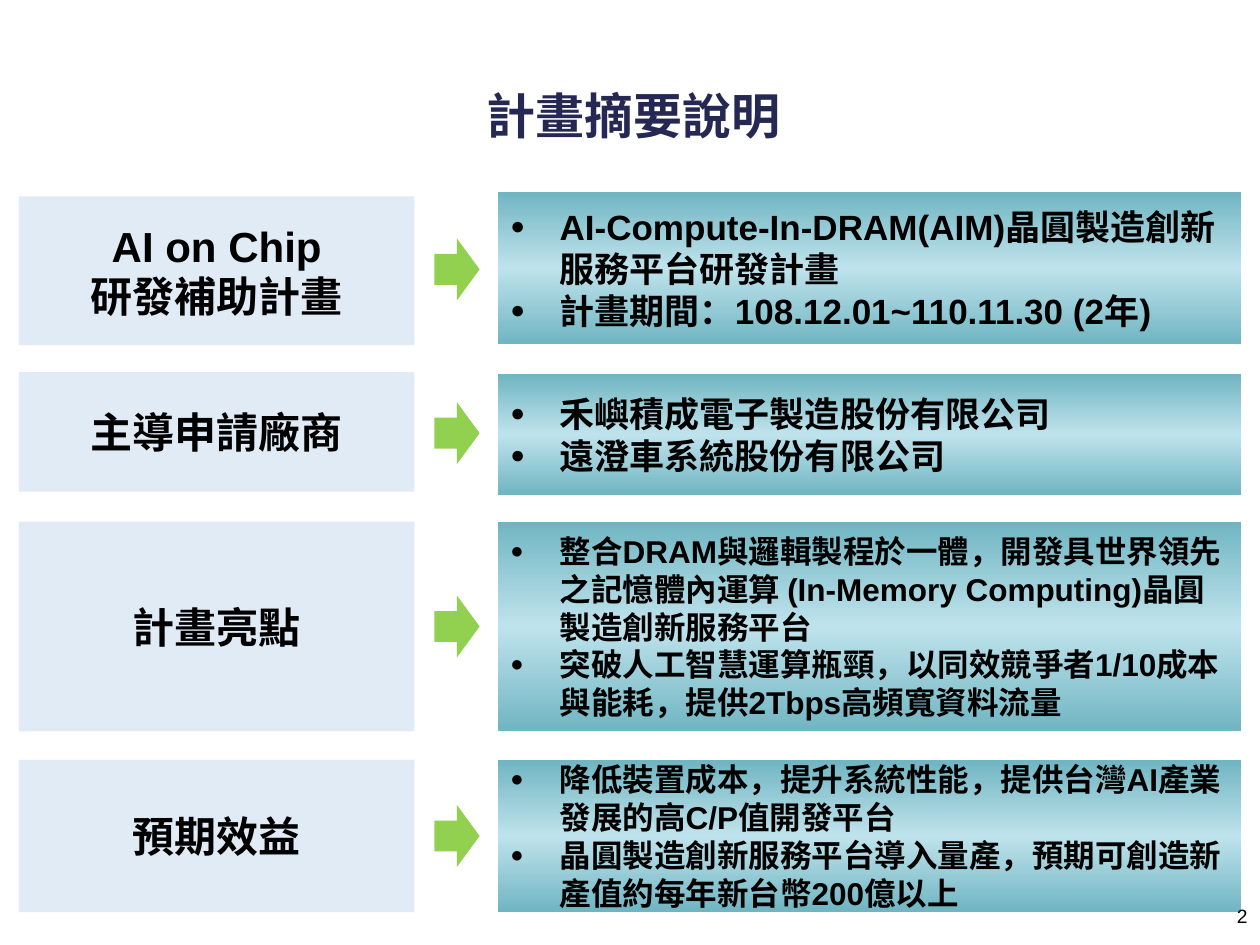
from copy import deepcopy
from dataclasses import dataclass

from lxml.etree import SubElement
from pptx import Presentation
from pptx.dml.color import RGBColor
from pptx.enum.shapes import MSO_SHAPE as Shape
from pptx.enum.text import MSO_ANCHOR as Anchor, PP_ALIGN as Align
from pptx.oxml.ns import qn
from pptx.util import Pt


@dataclass(frozen=True)
class Theme:
    font: str = "Arial"
    title_ink: str = "242852"
    ink: str = "000000"
    label_fill: str = "E0EBF6"
    arrow_fill: str = "92D050"
    detail_stops: tuple = ((0, "70B5C2"), (0.5, "BFE3EC"), (1, "70B5C2"))
    title_size: int = 28
    label_size: int = 24
    detail_size: int = 20
    small_detail_size: int = 18
    number_size: int = 11
    bullet: str = "●"
    bullet_percent: int = 70
    bullet_indent: float = 28.1


LABEL_LEFT, LABEL_WIDTH = 10.8, 226.1
ARROW_LEFT, ARROW_WIDTH, ARROW_HEIGHT = 248.2, 25.9, 35.3
DETAIL_LEFT, DETAIL_RIGHT = 284.6, 709.2

THEME = Theme()

# label lines, label (top, height), detail (top, height), detail size, details
ROWS = [
    (["AI on Chip", "研發補助計畫"], (112.2, 85), (109.6, 87.2), THEME.detail_size,
     ["AI-Compute-In-DRAM(AIM)晶圓製造創新服務平台研發計畫",
      "計畫期間：108.12.01~110.11.30 (2年)"]),
    (["主導申請廠商"], (212.6, 68.4), (213.8, 69), THEME.detail_size,
     ["禾嶼積成電子製造股份有限公司",
      "遠澄車系統股份有限公司"]),
    (["計畫亮點"], (298, 120), (298, 120), THEME.small_detail_size,
     ["整合DRAM與邏輯製程於一體，開發具世界領先之記憶體內運算 (In-Memory Computing)晶圓製造創新服務平台",
      "突破人工智慧運算瓶頸，以同效競爭者1/10成本與能耗，提供2Tbps高頻寬資料流量"]),
    (["預期效益"], (434.2, 87), (434.2, 87), THEME.small_detail_size,
     ["降低裝置成本，提升系統性能，提供台灣AI產業發展的高C/P值開發平台",
      "晶圓製造創新服務平台導入量產，預期可創造新產值約每年新台幣200億以上"]),
]


def add_bullet(paragraph, theme):
    props = paragraph._p.get_or_add_pPr()
    indent = Pt(theme.bullet_indent)
    props.set("marL", str(indent))
    props.set("indent", str(-indent))
    SubElement(props, qn("a:buSzPct"), val=str(theme.bullet_percent * 1000))
    SubElement(props, qn("a:buFont"), typeface=theme.font)
    SubElement(props, qn("a:buChar"), char=theme.bullet)


def write_text(frame, lines, *, theme, size, color=THEME.ink, bold=True,
               align=Align.LEFT, anchor=Anchor.TOP, margin=None, bulleted=False):
    frame.word_wrap = True
    frame.vertical_anchor = anchor
    if margin is not None:
        frame.margin_left = frame.margin_right = Pt(margin)
        frame.margin_top = frame.margin_bottom = Pt(margin)
    for index, line in enumerate(lines):
        paragraph = frame.add_paragraph() if index else frame.paragraphs[0]
        paragraph.alignment = align
        if bulleted:
            add_bullet(paragraph, theme)
        run = paragraph.add_run()
        run.text = line
        run.font.name = theme.font
        run.font.size = Pt(size)
        run.font.bold = bold
        run.font.color.rgb = RGBColor.from_string(color)


def fill_gradient(shape, stops):
    """Fill with a vertical gradient of three (position, colour) stops."""
    shape.fill.gradient()
    shape.fill.gradient_angle = 90
    first = shape.element.spPr.find(".//" + qn("a:gs"))
    first.addnext(deepcopy(first))
    for stop, (position, color) in zip(shape.fill.gradient_stops, stops):
        stop.position = position
        stop.color.rgb = RGBColor.from_string(color)


class SlideBuilder:
    def __init__(self, slide, theme):
        self.slide = slide
        self.theme = theme

    def text(self, lines, left, top, width, height, **style):
        box = self.slide.shapes.add_textbox(Pt(left), Pt(top), Pt(width), Pt(height))
        write_text(box.text_frame, lines, theme=self.theme, **style)

    def block(self, kind, left, top, width, height, color=None):
        shape = self.slide.shapes.add_shape(
            kind, Pt(left), Pt(top), Pt(width), Pt(height))
        shape.shadow.inherit = False
        shape.line.fill.background()
        if color:
            shape.fill.solid()
            shape.fill.fore_color.rgb = RGBColor.from_string(color)
        return shape

    def label(self, lines, top, height):
        panel = self.block(Shape.RECTANGLE, LABEL_LEFT, top, LABEL_WIDTH, height,
                           self.theme.label_fill)
        write_text(panel.text_frame, lines, theme=self.theme,
                   size=self.theme.label_size, align=Align.CENTER,
                   anchor=Anchor.MIDDLE, margin=0)

    def arrow(self, center):
        self.block(Shape.RIGHT_ARROW, ARROW_LEFT, center - ARROW_HEIGHT / 2,
                   ARROW_WIDTH, ARROW_HEIGHT, self.theme.arrow_fill)

    def detail(self, lines, top, height, size):
        panel = self.block(Shape.RECTANGLE, DETAIL_LEFT, top,
                           DETAIL_RIGHT - DETAIL_LEFT, height)
        fill_gradient(panel, self.theme.detail_stops)
        write_text(panel.text_frame, lines, theme=self.theme, size=size,
                   anchor=Anchor.MIDDLE, bulleted=True)


def main():
    deck = Presentation()
    deck.slide_width, deck.slide_height = Pt(720), Pt(540)
    builder = SlideBuilder(deck.slides.add_slide(deck.slide_layouts[6]), THEME)

    builder.text(["計畫摘要說明"], 68.4, 45.4, 586.8, 44.6, size=THEME.title_size,
                 color=THEME.title_ink, align=Align.CENTER)
    for label_lines, label_span, detail_span, size, details in ROWS:
        centers = [top + height / 2 for top, height in (label_span, detail_span)]
        builder.arrow(sum(centers) / 2)
        builder.detail(details, *detail_span, size)
        builder.label(label_lines, *label_span)
    builder.text(["2"], 552.2, 513.4, 167.8, 26.6, size=THEME.number_size,
                 bold=False, align=Align.RIGHT)

    deck.save("out.pptx")


if __name__ == "__main__":
    main()
